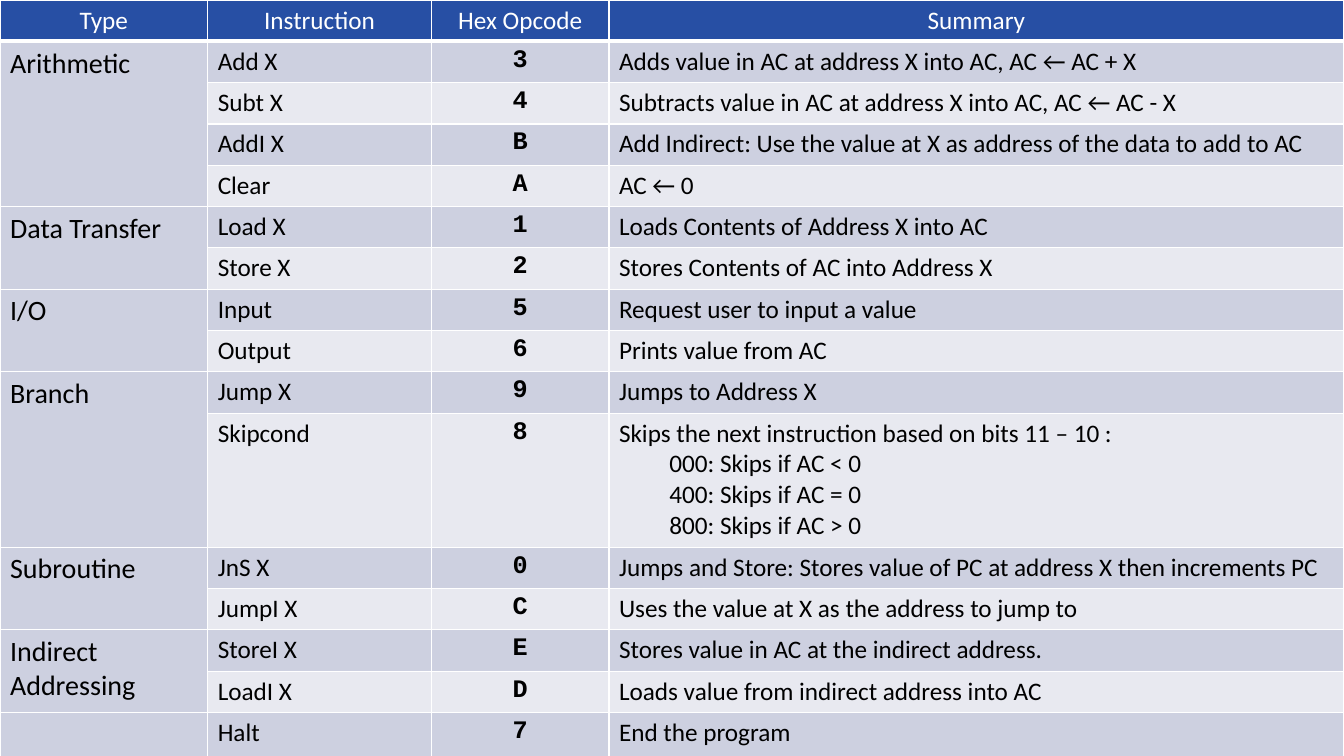
from dataclasses import dataclass

from lxml import etree
from pptx import Presentation
from pptx.dml.color import RGBColor
from pptx.enum.text import PP_ALIGN
from pptx.oxml.ns import qn
from pptx.table import _Cell
from pptx.util import Inches, Pt

LEFT, CENTER = PP_ALIGN.LEFT, PP_ALIGN.CENTER

WHITE = RGBColor(0xFF, 0xFF, 0xFF)
BLACK = RGBColor(0x00, 0x00, 0x00)
HEADER_BLUE = RGBColor(0x27, 0x4F, 0xA4)
BAND_DARK = RGBColor(0xCD, 0xD0, 0xE0)
BAND_LIGHT = RGBColor(0xE8, 0xE9, 0xF0)
SKY_TOP = RGBColor(0xCB, 0xEC, 0xF5)
SKY_BOTTOM = RGBColor(0x73, 0xAB, 0xDD)

COL_WIDTHS = [2.06, 2.22, 1.76, 7.29]
ROW_HEIGHT, SKIP_HEIGHT, LAST_HEIGHT = 0.41, 1.33, 0.44
HEADINGS = ["Type", "Instruction", "Hex Opcode", "Summary"]


@dataclass
class Style:
    font: dict
    align: PP_ALIGN = LEFT


@dataclass
class Instruction:
    name: str
    opcode: str
    summary: str
    details: str = ""


@dataclass
class Group:
    title: str
    instructions: list[Instruction]


HEADER = Style({"name": "Calibri", "size": Pt(18), "bold": False, "color": WHITE}, CENTER)
TYPE = Style({"name": "Calibri", "size": Pt(20), "bold": False, "color": BLACK})
BODY = Style({"name": "Calibri", "size": Pt(18), "bold": False, "color": BLACK})
OPCODE = Style({"name": "Courier New", "size": Pt(18), "bold": True, "color": BLACK}, CENTER)

GROUPS = [
    Group("Arithmetic", [
        Instruction("Add X", "3", "Adds value in AC at address X into AC, AC ← AC + X"),
        Instruction("Subt X", "4", "Subtracts value in AC at address X into AC, AC ← AC - X"),
        Instruction("AddI X", "B",
                    "Add Indirect: Use the value at X as address of the data to add to AC"),
        Instruction("Clear", "A", "AC ← 0"),
    ]),
    Group("Data Transfer", [
        Instruction("Load X", "1", "Loads Contents of Address X into AC"),
        Instruction("Store X", "2", "Stores Contents of AC into Address X"),
    ]),
    Group("I/O", [
        Instruction("Input", "5", "Request user to input a value"),
        Instruction("Output", "6", "Prints value from AC"),
    ]),
    Group("Branch", [
        Instruction("Jump X", "9", "Jumps to Address X"),
        Instruction("Skipcond", "8", "Skips the next instruction based on bits 11 – 10 :",
                    "000: Skips if AC < 0\n400: Skips if AC = 0\n800: Skips if AC > 0"),
    ]),
    Group("Subroutine", [
        Instruction("JnS X", "0",
                    "Jumps and Store: Stores value of PC at address X then increments PC"),
        Instruction("JumpI X", "C", "Uses the value at X as the address to jump to"),
    ]),
    Group("Indirect Addressing", [
        Instruction("StoreI X", "E", "Stores value in AC at the indirect address."),
        Instruction("LoadI X", "D", "Loads value from indirect address into AC"),
    ]),
    Group("", [Instruction("Halt", "7", "End the program")]),
]


def format_paragraph(p, text: str, style: Style) -> None:
    p.text = text
    p.alignment = style.align
    for r in p.runs:
        for key, value in style.font.items():
            if key == "color":
                r.font.color.rgb = value
            else:
                setattr(r.font, key, value)


def write(cell: _Cell, text: str, style: Style) -> None:
    format_paragraph(cell.text_frame.paragraphs[0], text, style)


def add_details(cell: _Cell, text: str) -> None:
    p = cell.text_frame.add_paragraph()
    format_paragraph(p, text, BODY)
    p.level = 1
    pPr = p._p.get_or_add_pPr()
    pPr.set("marL", str(Inches(0.5)))
    pPr.set("indent", "0")


def paint(cell: _Cell, row: int, col: int) -> None:
    """Set the white borders, then the banded fill."""
    tcPr = cell._tc.get_or_add_tcPr()
    widths = {"lnL": 1, "lnR": 1, "lnT": 3 if row == 1 else 1, "lnB": 3 if row == 0 else 1}
    for tag, width in widths.items():
        ln = etree.SubElement(tcPr, qn(f"a:{tag}"), w=str(Pt(width)))
        solid = etree.SubElement(ln, qn("a:solidFill"))
        etree.SubElement(solid, qn("a:srgbClr"), val=str(WHITE))
    cell.fill.solid()
    if row == 0:
        color = HEADER_BLUE
    else:
        color = BAND_DARK if col == 0 or row % 2 else BAND_LIGHT
    cell.fill.fore_color.rgb = color


def main() -> None:
    prs = Presentation()
    prs.slide_width, prs.slide_height = Inches(13.33), Inches(7.5)
    s = prs.slides.add_slide(prs.slide_layouts[6])

    # Background
    fill = s.background.fill
    fill.gradient()
    fill.gradient_angle = 270
    for stop, color in zip(fill.gradient_stops, (SKY_TOP, SKY_BOTTOM)):
        stop.color.rgb = color

    # Table grid
    row_count = 1 + sum(len(g.instructions) for g in GROUPS)
    table = s.shapes.add_table(row_count, len(HEADINGS), 0, 0,
                               prs.slide_width, prs.slide_height).table
    for column, width in zip(table.columns, COL_WIDTHS):
        column.width = Inches(width)
    for row in table.rows:
        row.height = Inches(ROW_HEIGHT)
    table.rows[row_count - 1].height = Inches(LAST_HEIGHT)
    for i in range(row_count):
        for j in range(len(HEADINGS)):
            paint(table.cell(i, j), i, j)

    # Header row
    for j, heading in enumerate(HEADINGS):
        write(table.cell(0, j), heading, HEADER)

    # Instruction groups
    i = 1
    for group in GROUPS:
        type_cell = table.cell(i, 0)
        if len(group.instructions) > 1:
            type_cell.merge(table.cell(i + len(group.instructions) - 1, 0))
        if group.title:
            write(type_cell, group.title, TYPE)
        for item in group.instructions:
            write(table.cell(i, 1), item.name, BODY)
            write(table.cell(i, 2), item.opcode, OPCODE)
            write(table.cell(i, 3), item.summary, BODY)
            if item.details:
                add_details(table.cell(i, 3), item.details)
                table.rows[i].height = Inches(SKIP_HEIGHT)
            i += 1

    prs.save("out.pptx")


if __name__ == "__main__":
    main()
